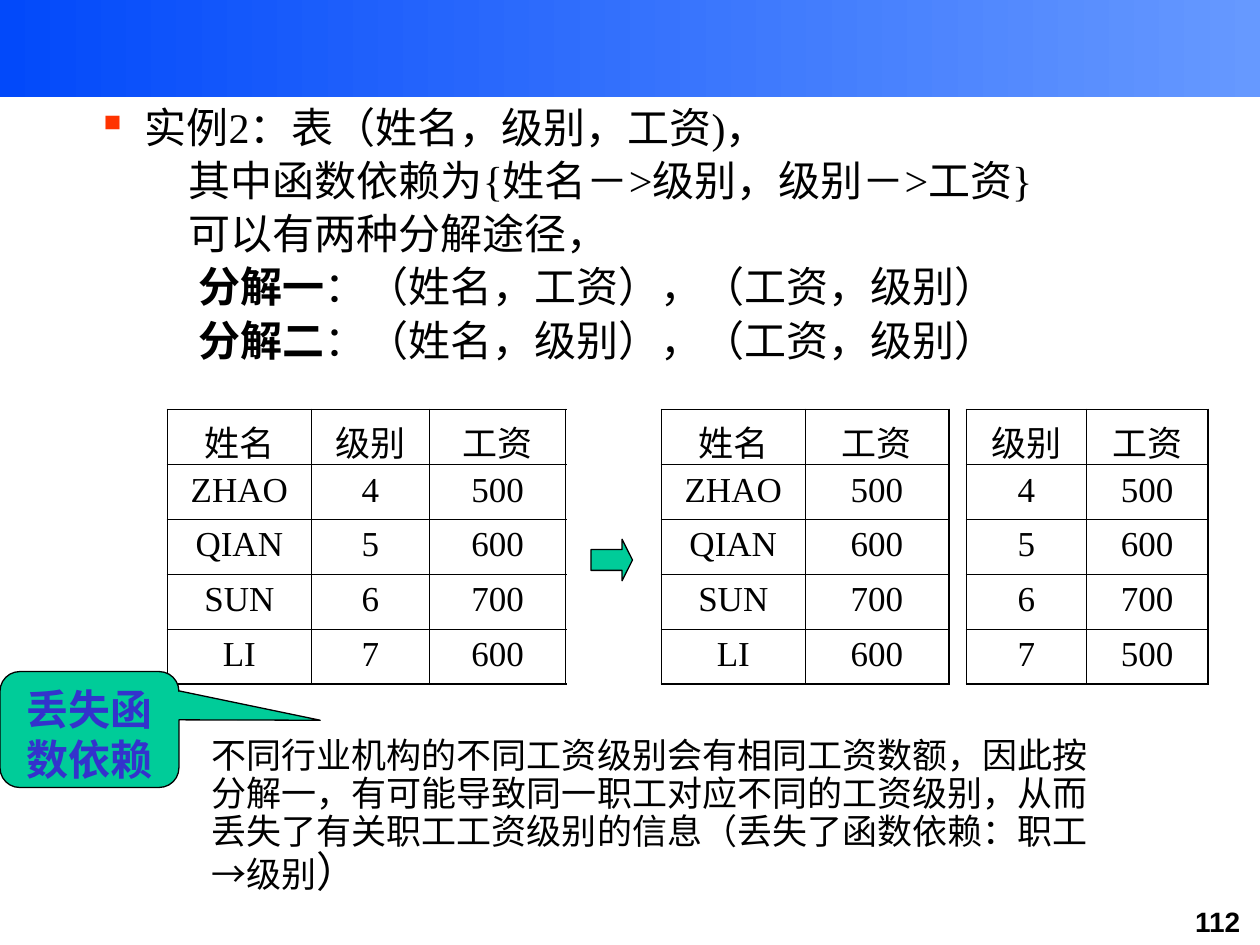
"""Build the slide on decomposing a relation and losing a functional dependency."""
from lxml.etree import SubElement
from pptx import Presentation
from pptx.dml.color import RGBColor
from pptx.enum.shapes import MSO_SHAPE as Shape
from pptx.enum.text import MSO_ANCHOR as Anchor, PP_ALIGN as Align
from pptx.oxml.ns import qn
from pptx.util import Inches, Pt

BLACK = RGBColor(0x00, 0x00, 0x00)
BLUE = RGBColor(0x02, 0x49, 0xFA)
LIGHT_BLUE = RGBColor(0x66, 0x99, 0xFF)
GREEN = RGBColor(0x00, 0xCC, 0x99)
INDIGO = RGBColor(0x33, 0x33, 0xCC)
ORANGE = RGBColor(0xFF, 0x33, 0x00)
SERIF, SANS = "Times New Roman", "Arial"

EXAMPLE = [
    (0.38, [("实例2：表（姓名，级别，工资)，", False)]),
    (0.73, [("其中函数依赖为{姓名－>级别，级别－>工资}", False)]),
    (0.73, [("可以有两种分解途径，", False)]),
    (0.81, [("分解一", True), ("：（姓名，工资），（工资，级别）", False)]),
    (0.81, [("分解二", True), ("：（姓名，级别），（工资，级别）", False)]),
]
NAMES = ["姓名", "ZHAO", "QIAN", "SUN", "LI"]
LEVELS = ["级别", "4", "5", "6", "7"]
SALARIES = ["工资", "500", "600", "700", "600"]
LEVEL_SALARIES = ["工资", "500", "600", "700", "500"]
RELATIONS = [
    (1.33, [(1.14, NAMES), (0.94, LEVELS), (1.08, SALARIES)]),
    (5.25, [(1.14, NAMES), (1.14, SALARIES)]),
    (7.67, [(0.95, LEVELS), (0.97, LEVEL_SALARIES)]),
]
TABLE_TOP, TABLE_HEIGHT = 3.25, 2.18
THICK, THIN = Pt(1.08), Pt(0.45)
LOSS = ["丢失函", "数依赖"]
REASON = [
    ("不同行业机构的不同工资级别会有相同工资数额，因此按分解一，有可能导致同一职工"
     "对应不同的工资级别，从而丢失了有关职工工资级别的信息（丢失了函数依赖：职工→级别", 20),
    ("）", 24),
]
PAGE = "112"


def put_text(paragraph, text, size, face=SERIF, color=BLACK, bold=False):
    run = paragraph.add_run()
    run.text = text
    for key, value in {"size": Pt(size), "name": face, "bold": bold}.items():
        setattr(run.font, key, value)
    run.font.color.rgb = color


def add_box(slide, *place, wrap=True):
    frame = slide.shapes.add_textbox(*map(Inches, place)).text_frame
    frame.word_wrap = wrap
    return frame


def add_figure(slide, kind, place, adjustments=()):
    figure = slide.shapes.add_shape(kind, *map(Inches, place))
    figure.shadow.inherit = False
    figure.fill.solid()
    figure.fill.fore_color.rgb = GREEN
    figure.line.color.rgb = BLACK
    figure.line.width = Pt(0.75)
    for index, value in enumerate(adjustments):
        figure.adjustments[index] = value
    return figure


def add_bullet(paragraph):
    properties = paragraph._p.get_or_add_pPr()
    color = SubElement(properties, qn("a:buClr"))
    SubElement(color, qn("a:srgbClr"), val=str(ORANGE))
    SubElement(properties, qn("a:buChar"), char="▪")


def set_margin(paragraph, margin, indent=0):
    properties = paragraph._p.get_or_add_pPr()
    for key, value in {"marL": margin, "indent": indent}.items():
        properties.set(key, str(Inches(value)))


def set_borders(cell, outer_edges):
    properties = cell._tc.get_or_add_tcPr()
    for side, outer in zip("LRTB", outer_edges):
        width = THICK if outer else THIN
        border = SubElement(properties, qn(f"a:ln{side}"), w=str(width))
        fill = SubElement(border, qn("a:solidFill"))
        SubElement(fill, qn("a:srgbClr"), val=str(BLACK))


def add_relation(slide, left, columns):
    last_row, last_column = len(NAMES) - 1, len(columns) - 1
    place = left, TABLE_TOP, sum(width for width, _ in columns), TABLE_HEIGHT
    table = slide.shapes.add_table(len(NAMES), len(columns), *map(Inches, place)).table
    table.first_row = table.horz_banding = False
    for c, (width, values) in enumerate(columns):
        table.columns[c].width = Inches(width)
        for r, value in enumerate(values):
            cell = table.cell(r, c)
            set_borders(cell, (c == 0, c == last_column, r == 0, r == last_row))
            cell.fill.background()
            paragraph = cell.text_frame.paragraphs[0]
            paragraph.alignment = Align.CENTER
            put_text(paragraph, value, 20)


def add_banner(slide):
    banner = slide.shapes.add_shape(Shape.RECTANGLE, 0, 0, Inches(10), Inches(0.77))
    banner.shadow.inherit = False
    banner.line.fill.background()
    banner.fill.gradient()
    banner.fill.gradient_angle = 0
    for stop, position, color in zip(banner.fill.gradient_stops, (0, 1), (BLUE, LIGHT_BLUE)):
        stop.position = position
        stop.color.rgb = color


def add_example(slide):
    frame = add_box(slide, 0.67, 0.76, 8.67, 2.16)
    for index, (margin, runs) in enumerate(EXAMPLE):
        paragraph = frame.add_paragraph() if index else frame.paragraphs[0]
        set_margin(paragraph, margin, 0 if index else -margin)
        if index:
            paragraph.space_before = Pt(1.5)
        else:
            add_bullet(paragraph)
        for text, bold in runs:
            put_text(paragraph, text, 24, bold=bold)


def add_loss(slide):
    callout = add_figure(slide, Shape.ROUNDED_RECTANGULAR_CALLOUT,
                         (0, 5.33, 1.42, 0.92), (1.29, -0.08, 0.17))
    frame = callout.text_frame
    frame.vertical_anchor = Anchor.TOP
    for index, line in enumerate(LOSS):
        paragraph = frame.add_paragraph() if index else frame.paragraphs[0]
        paragraph.alignment = Align.CENTER
        put_text(paragraph, line, 24, color=INDIGO, bold=True)


def add_reason(slide):
    paragraph = add_box(slide, 1.08, 5.81, 7.67, 1.36).paragraphs[0]
    set_margin(paragraph, 0.5)
    paragraph.line_spacing = 0.9
    for text, size in REASON:
        put_text(paragraph, text, size, SANS)


def add_page_number(slide):
    paragraph = add_box(slide, 9.33, 7.13, 0.67, 0.37, wrap=False).paragraphs[0]
    paragraph.alignment = Align.CENTER
    put_text(paragraph, PAGE, 16, SANS, bold=True)


def main():
    deck = Presentation()
    deck.slide_width, deck.slide_height = Inches(10), Inches(7.5)
    slide = deck.slides.add_slide(deck.slide_layouts[6])
    add_banner(slide)
    add_page_number(slide)
    add_example(slide)
    for left, columns in RELATIONS:
        add_relation(slide, left, columns)
    add_loss(slide)
    add_figure(slide, Shape.RIGHT_ARROW, (4.69, 4.28, 0.33, 0.33), (0.5, 0.25))
    add_reason(slide)
    deck.save("out.pptx")


if __name__ == "__main__":
    main()
